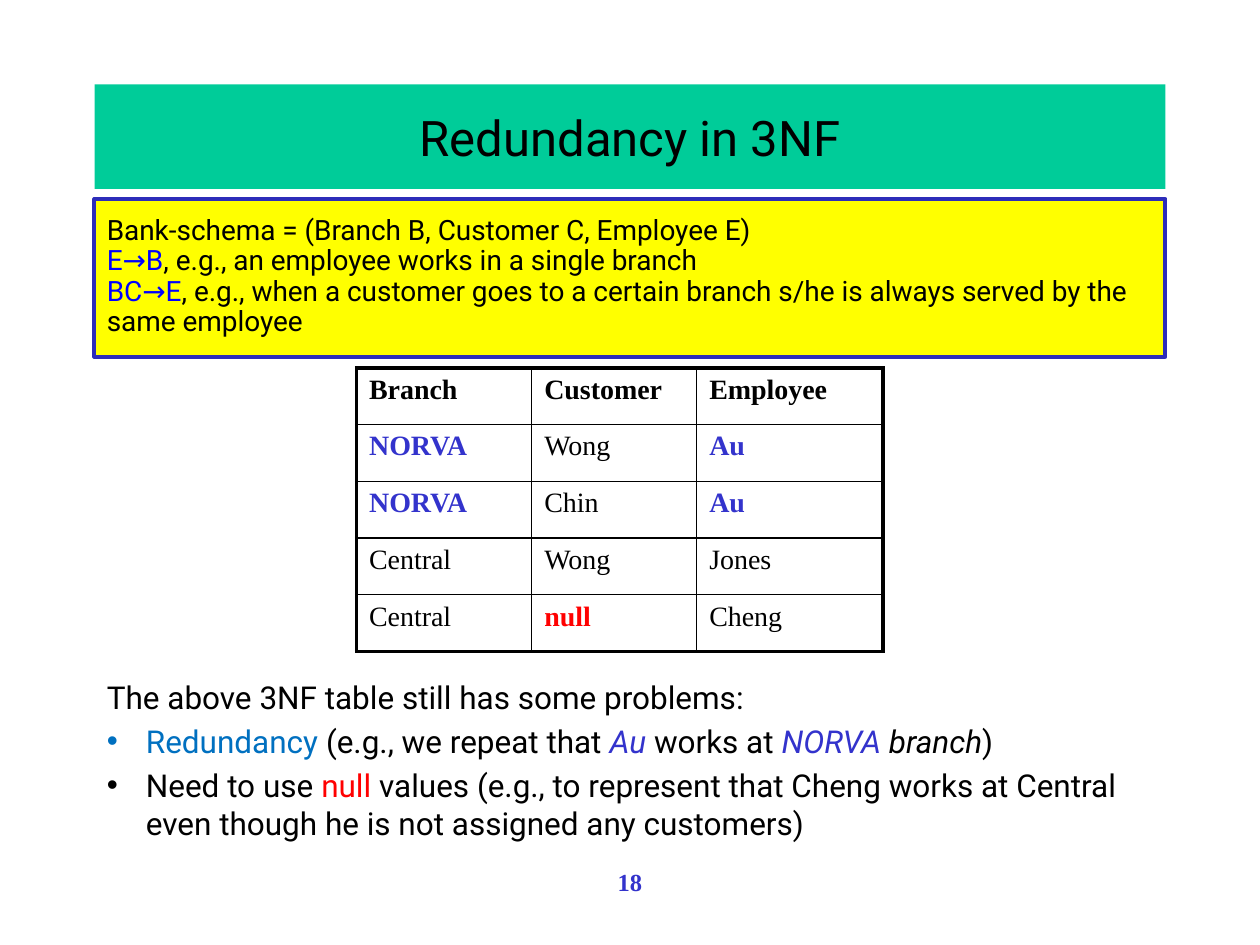
"""Build the slide on redundancy in 3NF."""
from lxml import etree
from pptx import Presentation
from pptx.dml.color import RGBColor
from pptx.enum.shapes import MSO_SHAPE
from pptx.enum.text import MSO_ANCHOR, PP_ALIGN
from pptx.oxml.ns import qn
from pptx.util import Inches, Pt

PROCESS = MSO_SHAPE.FLOWCHART_PROCESS
CENTER, LEFT = PP_ALIGN.CENTER, PP_ALIGN.LEFT
TOP, MIDDLE = MSO_ANCHOR.TOP, MSO_ANCHOR.MIDDLE
SANS, SERIF = "Roboto", "Times New Roman"
COLORS = {
    "black": "000000", "green": "00CC99", "yellow": "FFFF00", "border": "2D2DB9",
    "blue": "0000FF", "indigo": "3333CC", "sky": "0070C0", "red": "FF0000",
}

TITLE = "Redundancy in 3NF"
PAGE = "18"
SCHEMA = [
    ["Bank-schema = (Branch B, Customer C, Employee E)"],
    [("E→B", "blue"), ", e.g., an employee works in a single branch"],
    [("BC→E", "blue"), ", e.g., when a customer goes to a certain branch s/he is "
     "always served by the same employee"],
]
ROWS = [
    ["Branch", "Customer", "Employee"],
    ["NORVA", "Wong", "Au"],
    ["NORVA", "Chin", "Au"],
    ["Central", "Wong", "Jones"],
    ["Central", "null", "Cheng"],
]
MARKED = {"NORVA": "indigo", "Au": "indigo", "null": "red"}
COLUMN_WIDTHS = [1.39, 1.31, 1.48]
ROW_HEIGHT = 0.45
INTRO = [["The above 3NF table still has some problems:"]]
PROBLEMS = [
    [("Redundancy", "sky"), " (e.g., we repeat that ", ("Au ", "indigo", True),
     "works at ", ("NORVA ", "indigo", True), ("branch", "black", True), ")"],
    ["Need to use ", ("null", "red"), " values (e.g., to represent that Cheng works at "
     "Central even though he is not assigned any customers)"],
]


def rgb(name):
    return RGBColor.from_string(COLORS[name])


def add_bullet(p, color):
    pPr = p._p.get_or_add_pPr()
    pPr.set("marL", str(Inches(0.31)))
    pPr.set("indent", str(-Inches(0.31)))
    bu_clr = etree.SubElement(pPr, qn("a:buClr"))
    etree.SubElement(bu_clr, qn("a:srgbClr"), val=COLORS[color])
    etree.SubElement(pPr, qn("a:buFont"), typeface="Arial")
    etree.SubElement(pPr, qn("a:buChar"), char="•")


def write(tf, paragraphs, size=16, font=SANS, color="black", bold=False, align=LEFT,
          anchor=TOP, spacing=None, before=0, bullet=False):
    """Append paragraphs made of plain strings or (text, color, italic) runs."""
    tf.word_wrap = True
    tf.vertical_anchor = anchor
    for runs in paragraphs:
        p = tf.add_paragraph() if tf.text else tf.paragraphs[0]
        p.alignment, p.line_spacing, p.space_before = align, spacing, Pt(before)
        for item in runs:
            text, shade, italic = ((item, color) if isinstance(item, str) else item)[:2] + (
                len(item) == 3 and not isinstance(item, str),)
            r = p.add_run()
            r.text = text
            r.font.name, r.font.size = font, Pt(size)
            r.font.bold, r.font.italic = bold, italic
            r.font.color.rgb = rgb(shade)
        if bullet:
            add_bullet(p, color if isinstance(runs[0], str) else runs[0][1])


def add_text(s, box, paragraphs, **fmt):
    tf = s.shapes.add_textbox(*map(Inches, box)).text_frame
    write(tf, paragraphs, **fmt)
    return tf


def set_borders(cell, widths):
    tcPr = cell._tc.get_or_add_tcPr()
    for i, (side, width) in enumerate(widths.items()):
        ln = etree.Element(qn(f"a:ln{side}"), w=str(Pt(width)))
        fill = etree.SubElement(ln, qn("a:solidFill"))
        etree.SubElement(fill, qn("a:srgbClr"), val=COLORS["black"])
        tcPr.insert(i, ln)


def add_grid(s):
    last_row, last_col = len(ROWS) - 1, len(COLUMN_WIDTHS) - 1
    frame = s.shapes.add_table(
        len(ROWS), len(COLUMN_WIDTHS), Inches(2.83), Inches(2.92),
        Inches(sum(COLUMN_WIDTHS)), Inches(ROW_HEIGHT * len(ROWS)))
    table = frame.table
    table.first_row = table.horz_banding = False
    for col, width in zip(table.columns, COLUMN_WIDTHS):
        col.width = Inches(width)
    for i, row in enumerate(ROWS):
        table.rows[i].height = Inches(ROW_HEIGHT)
        for j, text in enumerate(row):
            cell = table.cell(i, j)
            cell.fill.background()
            write(cell.text_frame, [[text]], font=SERIF, before=3.2,
                  color=MARKED.get(text, "black"), bold=i == 0 or text in MARKED)
            edges = {"L": j == 0, "R": j == last_col, "T": i == 0, "B": i == last_row}
            set_borders(cell, {k: 2.25 if outer else 1 for k, outer in edges.items()})


def main():
    prs = Presentation()
    prs.slide_width, prs.slide_height = Inches(10), Inches(7.5)
    s = prs.slides.add_slide(prs.slide_layouts[5])

    title = s.shapes.title
    title.left, title.top, title.width, title.height = map(Inches, (0.75, 0.67, 8.5, 0.83))
    title.fill.solid()
    title.fill.fore_color.rgb = rgb("green")
    write(title.text_frame, [[TITLE]], size=28, align=CENTER, anchor=MIDDLE)

    sp = s.shapes.add_shape(PROCESS, *map(Inches, (0.75, 1.58, 8.5, 1.25)))
    sp.shadow.inherit = False
    sp.fill.solid()
    sp.fill.fore_color.rgb = rgb("yellow")
    sp.line.color.rgb = rgb("border")
    sp.line.width = Pt(2.25)

    add_text(s, (0.75, 1.67, 8.5, 1.42), SCHEMA, spacing=0.9)
    add_grid(s)
    tf = add_text(s, (0.75, 5.33, 8.67, 1.42), INTRO, size=18, before=3.6)
    write(tf, PROBLEMS, size=18, before=3.6, bullet=True)
    add_text(s, (0.5, 6.83, 9, 0.5), [[PAGE]], size=14, font=SERIF,
             color="indigo", bold=True, align=CENTER)
    prs.save("out.pptx")


if __name__ == "__main__":
    main()
